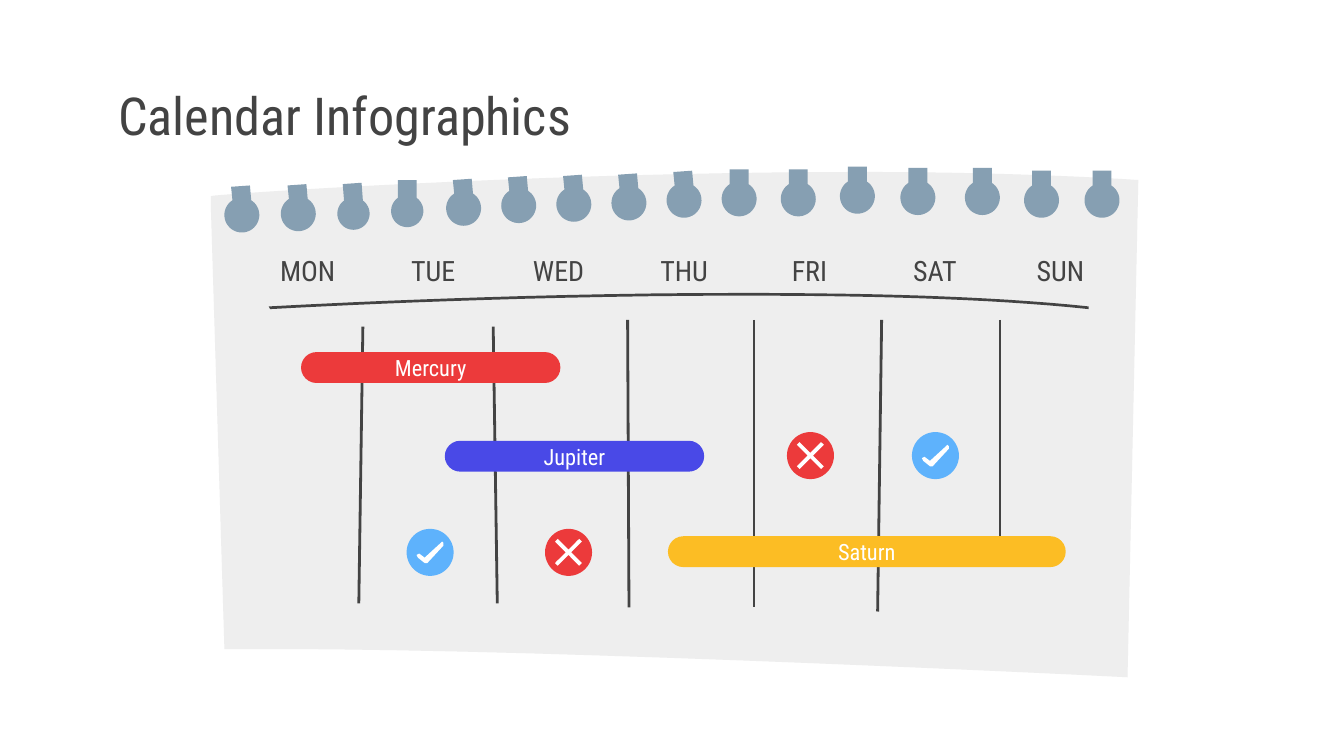
from math import asin, cos, pi, sin

from lxml import etree
from pptx import Presentation
from pptx.dml.color import RGBColor
from pptx.enum import shapes, text
from pptx.oxml import ns
from pptx.util import Inches, Pt

FONT = "Roboto Condensed"
HUES = {k: RGBColor.from_string(v) for k, v in {
    "ink": "434343", "sheet": "EEEEEE", "ring": "869FB2", "white": "FFFFFF",
    "red": "EC3A3B", "blue": "4949E7", "gold": "FCBD24", "sky": "5EB2FC",
}.items()}

# Wide 16:9 slide
deck = Presentation()
deck.slide_width, deck.slide_height = Inches(10), Inches(10 * 9 / 16)
slide = deck.slides.add_slide(deck.slide_layouts[5])
items = slide.shapes


def draw(path, hue):
    """Fill an outline; a step of six numbers is a Bezier curve."""
    dots = []
    for step in path:
        if len(step) == 2:
            dots.append(step)
            continue
        (ax, ay), (bx, by, cx, cy, dx, dy) = dots[-1], step
        for n in range(1, 17):
            t = n / 16
            w = (1 - t) ** 3, 3 * t * (1 - t) ** 2, 3 * t * t * (1 - t), t ** 3
            dots.append((w[0] * ax + w[1] * bx + w[2] * cx + w[3] * dx,
                         w[0] * ay + w[1] * by + w[2] * cy + w[3] * dy))
    dots = [(Inches(x), Inches(y)) for x, y in dots]
    pen = items.build_freeform(*dots[0])
    pen.add_line_segments(dots[1:], close=True)
    shape = pen.convert_to_shape()
    shape.shadow.inherit = False
    shape.fill.solid()
    shape.fill.fore_color.rgb = HUES[hue]
    shape.line.fill.background()


def write(shape, words, size, hue, align):
    frame = shape.text_frame
    frame.word_wrap = True
    frame.auto_size = text.MSO_AUTO_SIZE.NONE
    frame.vertical_anchor = text.MSO_ANCHOR.MIDDLE
    frame.margin_left = frame.margin_right = Inches(0.1)
    frame.margin_top = frame.margin_bottom = Inches(0.1)
    para = frame.paragraphs[0]
    para.alignment = align
    run = para.add_run()
    run.text = words
    run.font.name, run.font.size = FONT, Pt(size)
    run.font.color.rgb = HUES[hue]


# Title
title = items.title
title.left, title.top = Inches(0.78), Inches(0.59)
title.width, title.height = Inches(8.45), Inches(0.53)
write(title, "Calendar Infographics", 28, "ink", text.PP_ALIGN.LEFT)

# Paper sheet and curved header rule
draw([(6.38, 1.28), (4.03, 1.28, 1.53, 1.45, 1.57, 1.46), (1.57, 1.57),
      (1.67, 4.83), (1.79, 4.83, 1.92, 4.83, 2.05, 4.83),
      (4.22, 4.83, 8.39, 5.04, 8.39, 5.04), (8.47, 1.34),
      (7.84, 1.3, 7.12, 1.28, 6.38, 1.28)], "sheet")
draw([(5.51, 2.18), (3.71, 2.18, 2.03, 2.28, 2, 2.28), (2.01, 2.3),
      (2.03, 2.3, 3.72, 2.2, 5.51, 2.2), (6.41, 2.2, 7.34, 2.22, 8.1, 2.3),
      (8.1, 2.28), (7.34, 2.2, 6.41, 2.18, 5.51, 2.18)], "ink")

# Day dividers: top x, top y, foot x, foot y
for x, y, foot, base in [
        (2.7, 2.43, 2.67, 4.49), (3.67, 2.43, 3.7, 4.49),
        (4.67, 2.38, 4.68, 4.52), (5.61, 2.38, 5.61, 4.52),
        (6.56, 2.38, 6.53, 4.55), (7.44, 2.38, 7.44, 4.14)]:
    rule = items.add_connector(shapes.MSO_CONNECTOR.STRAIGHT, Inches(x),
                               Inches(y), Inches(foot), Inches(base))
    rule.line.color.rgb = HUES["ink"]
    rule.line.width = Pt(1.5)
    etree.SubElement(rule._element.spPr, ns.qn("a:effectLst"))

# Binder rings: centre x, top, radius, lean of the neck
for x, top, r, lean in [
        (1.8, 1.38, 0.13, 0.01), (2.22, 1.37, 0.13, 0.01),
        (2.63, 1.36, 0.12, 0.01), (3.03, 1.34, 0.12, 0),
        (3.45, 1.33, 0.13, 0.01), (3.86, 1.31, 0.13, 0.01),
        (4.27, 1.3, 0.13, 0.01), (4.68, 1.29, 0.13, 0.01),
        (5.09, 1.27, 0.13, 0.01), (5.5, 1.26, 0.13, 0),
        (5.94, 1.26, 0.13, 0), (6.38, 1.24, 0.13, 0),
        (6.83, 1.25, 0.13, 0), (7.31, 1.25, 0.13, 0),
        (7.75, 1.27, 0.13, 0), (8.2, 1.27, 0.13, 0)]:
    mid, gap = top + 0.35 - r, asin(0.07 / r)
    turns = [gap + (2 * pi - 2 * gap) * n / 40 for n in range(41)]
    draw([(x + 0.07 - lean, top), (x - 0.07 - lean, top + lean)]
         + [(x - r * sin(t), mid - r * cos(t)) for t in turns], "ring")

# Day names
for n, day in enumerate("MON TUE WED THU FRI SAT SUN".split()):
    box = items.add_textbox(Inches(1.87 + 5.6 * n / 6), Inches(1.8),
                            Inches(0.84), Inches(0.43))
    write(box, day, 15, "ink", text.PP_ALIGN.CENTER)

# Task bars
for task, x, y, wide, hue in [("Mercury", 2.24, 2.62, 1.93, "red"),
                              ("Jupiter", 3.31, 3.28, 1.93, "blue"),
                              ("Saturn", 4.97, 3.99, 2.96, "gold")]:
    bar = items.add_shape(shapes.MSO_SHAPE.ROUNDED_RECTANGLE, Inches(x),
                          Inches(y), Inches(wide), Inches(0.23))
    bar.adjustments[0] = 0.5
    bar.shadow.inherit = False
    bar.fill.solid()
    bar.fill.fore_color.rgb = HUES[hue]
    bar.line.fill.background()
    write(bar, task, 12, "white", text.PP_ALIGN.CENTER)

# Status badges: the cross is one arm turned four times
arm = [(0, -0.02), (0.07, -0.09), (0.08, -0.1), (0.1, -0.08), (0.09, -0.07)]
cross = []
for turn in range(4):
    cross += arm
    arm = [(-y, x) for x, y in arm]
check = [(0.09, -0.08), (0.08, -0.07), (-0.04, 0.04), (-0.08, 0.01),
         (-0.1, 0.02), (-0.09, 0.04), (-0.04, 0.08), (-0.02, 0.08),
         (0.1, -0.05), (0.1, -0.07)]
size = 0.35
for x, y, mark, hue in [(4.23, 4.11, cross, "red"), (6.03, 3.39, cross, "red"),
                        (6.96, 3.39, check, "sky"), (3.2, 4.11, check, "sky")]:
    disc = items.add_shape(shapes.MSO_SHAPE.OVAL, Inches(x - size / 2),
                           Inches(y - size / 2), Inches(size), Inches(size))
    disc.shadow.inherit = False
    disc.fill.solid()
    disc.fill.fore_color.rgb = HUES[hue]
    disc.line.fill.background()
    draw([(x + dx, y + dy) for dx, dy in mark], "white")

deck.save("out.pptx")
